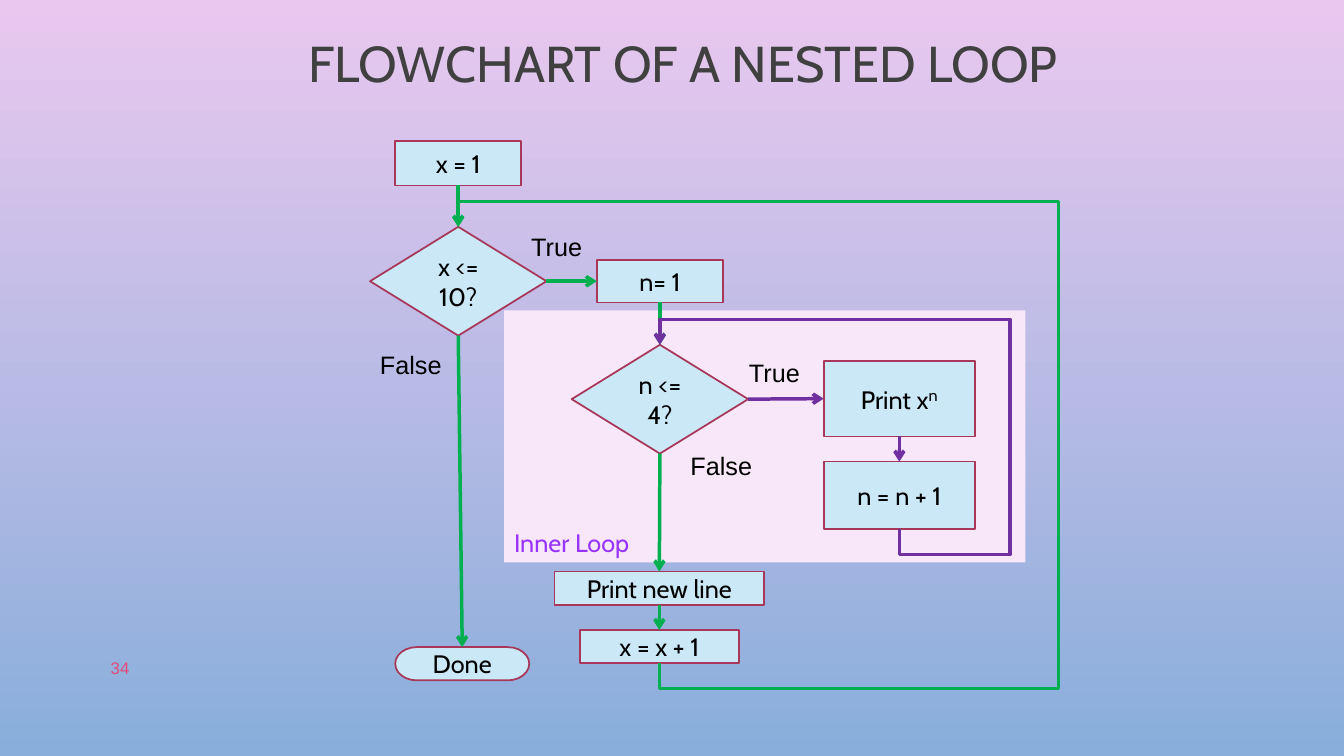
from dataclasses import dataclass

from lxml import etree
from pptx import Presentation
from pptx.dml.color import RGBColor
from pptx.enum.shapes import MSO_CONNECTOR, MSO_SHAPE
from pptx.enum.text import MSO_ANCHOR, PP_ALIGN
from pptx.oxml.ns import qn
from pptx.util import Inches, Pt

STEP = MSO_SHAPE.FLOWCHART_PROCESS
TEST = MSO_SHAPE.FLOWCHART_DECISION
STOP = MSO_SHAPE.FLOWCHART_TERMINATOR
PANEL = MSO_SHAPE.RECTANGLE
STRAIGHT, ELBOW = MSO_CONNECTOR.STRAIGHT, MSO_CONNECTOR.ELBOW
LEFT, CENTER = PP_ALIGN.LEFT, PP_ALIGN.CENTER
TOP, MIDDLE, BOTTOM = MSO_ANCHOR.TOP, MSO_ANCHOR.MIDDLE, MSO_ANCHOR.BOTTOM
NORTH, WEST, SOUTH, EAST = range(4)  # connection sites


@dataclass(frozen=True)
class Theme:
    sky: str = "E9C8EF"
    ground: str = "89AEDB"
    panel: str = "F8E7F9"
    box: str = "CAE8F6"
    edge: str = "A8375A"
    outer: str = "00B050"
    inner: str = "7030A0"
    caption: str = "9933FF"
    title: str = "404040"
    text: str = "000000"
    number: str = "E34B7A"
    head: str = "Cabin"
    plain: str = "Arial"
    big: int = 36
    power: int = 20
    body: int = 18
    small: int = 12
    border: float = 1.25
    arrow: float = 2.5


THEME = Theme()


def rgb(code):
    return RGBColor.from_string(code)


def add_run(para, text, size=THEME.body, color=THEME.text, font=THEME.head):
    run = para.add_run()
    run.text = text
    run.font.size = Pt(size)
    run.font.name = font
    run.font.color.rgb = rgb(color)
    return run


def paint_back(slide):
    fill = slide.background.fill
    fill.gradient()
    fill.gradient_angle = 270
    for stop, color in zip(fill.gradient_stops, (THEME.sky, THEME.ground)):
        stop.color.rgb = rgb(color)


def add_text(slide, text, area, anchor=TOP, align=LEFT, wrap=True, **style):
    frame = slide.shapes.add_textbox(*map(Inches, area)).text_frame
    frame.word_wrap = wrap
    frame.vertical_anchor = anchor
    para = frame.paragraphs[0]
    para.alignment = align
    add_run(para, text, **style)
    return para


def add_label(slide, text, left, top):
    width = 0.71 if text == "True" else 0.82
    add_text(slide, text, (left, top, width, 0.4), wrap=False, font=THEME.plain)


def add_panel(slide, text, area):
    panel = slide.shapes.add_shape(PANEL, *map(Inches, area))
    panel.shadow.inherit = False
    panel.fill.solid()
    panel.fill.fore_color.rgb = rgb(THEME.panel)
    panel.line.fill.background()
    panel.text_frame.vertical_anchor = BOTTOM
    para = panel.text_frame.paragraphs[0]
    para.alignment = LEFT
    add_run(para, text, color=THEME.caption)


def add_node(slide, kind, text, area, power=""):
    """Add a flowchart box; power is set as a superscript after the text."""
    node = slide.shapes.add_shape(kind, *map(Inches, area))
    node.shadow.inherit = False
    node.fill.solid()
    node.fill.fore_color.rgb = rgb(THEME.box)
    node.line.color.rgb = rgb(THEME.edge)
    node.line.width = Pt(THEME.border)
    frame = node.text_frame
    frame.word_wrap = True
    frame.vertical_anchor = MIDDLE
    para = frame.paragraphs[0]
    para.alignment = CENTER
    add_run(para, text)
    if power:
        run = add_run(para, power, size=THEME.power)
        run.font._element.set("baseline", "30000")
    return node


def style_arrow(arrow, color):
    arrow.line.color.rgb = rgb(color)
    arrow.line.width = Pt(THEME.arrow)
    props = arrow.element.spPr
    etree.SubElement(props.find(qn("a:ln")), qn("a:tailEnd"), type="arrow")
    etree.SubElement(props, qn("a:effectLst"))


def link(slide, start, out, end, into, color):
    arrow = slide.shapes.add_connector(STRAIGHT, 0, 0, 0, 0)
    arrow.begin_connect(start, out)
    arrow.end_connect(end, into)
    style_arrow(arrow, color)


def loop_back(slide, start, end, low, right, high, color):
    """Run from the foot of start round the right side to the top of end."""
    x1, y1 = start.left + start.width // 2, start.top + start.height
    x2, y2 = end.left + end.width // 2, end.top
    mid_x, mid_y = (x1 + x2) // 2, (y1 + y2) // 2
    half_w, half_h = (y1 - y2) // 2, (x1 - x2) // 2
    # A quarter turn swaps width and height about the shared centre.
    arrow = slide.shapes.add_connector(
        ELBOW, mid_x + half_w, mid_y - half_h, mid_x - half_w, mid_y + half_h)
    props = arrow.element.spPr
    props.find(qn("a:xfrm")).set("rot", "5400000")
    shape = props.find(qn("a:prstGeom"))
    shape.set("prst", "bentConnector5")
    guides = shape.find(qn("a:avLst"))
    bends = ((Inches(low) - y1) / (y2 - y1),
             (Inches(right) - x1) / (x2 - x1),
             (Inches(high) - y1) / (y2 - y1))
    for num, bend in enumerate(bends, 1):
        etree.SubElement(guides, qn("a:gd"), name=f"adj{num}",
                         fmla=f"val {round(bend * 100000)}")
    style_arrow(arrow, color)


def main():
    deck = Presentation()
    deck.slide_width, deck.slide_height = Inches(13.33), Inches(7.5)
    slide = deck.slides.add_slide(deck.slide_layouts[6])
    paint_back(slide)
    add_panel(slide, "Inner Loop", (5, 3.08, 5.17, 2.5))
    title = add_text(slide, "FLOWCHART OF A NESTED LOOP", (2.65, 0.26, 8.25, 0.79),
                     MIDDLE, CENTER, size=THEME.big, color=THEME.title)
    title.line_spacing = 0.9

    set_x = add_node(slide, STEP, "x = 1", (3.92, 1.4, 1.25, 0.44))
    test_x = add_node(slide, TEST, "x <= 10?", (3.67, 2.25, 1.75, 1.08))
    set_n = add_node(slide, STEP, "n= 1", (5.92, 2.58, 1.25, 0.42))
    test_n = add_node(slide, TEST, "n <= 4?", (5.67, 3.42, 1.75, 1.08))
    show = add_node(slide, STEP, "Print x", (8.17, 3.58, 1.5, 0.75), power="n")
    add_n = add_node(slide, STEP, "n = n + 1", (8.17, 4.58, 1.5, 0.67))
    feed = add_node(slide, STEP, "Print new line", (5.5, 5.67, 2.08, 0.33))
    add_x = add_node(slide, STEP, "x = x + 1", (5.75, 6.25, 1.58, 0.33))
    done = add_node(slide, STOP, "Done", (3.92, 6.42, 1.33, 0.33))

    for start, out, end, into, color in (
        (set_x, SOUTH, test_x, NORTH, THEME.outer),
        (test_x, EAST, set_n, WEST, THEME.outer),
        (test_x, SOUTH, done, NORTH, THEME.outer),
        (set_n, SOUTH, test_n, NORTH, THEME.outer),
        (test_n, SOUTH, feed, NORTH, THEME.outer),
        (feed, SOUTH, add_x, NORTH, THEME.outer),
        (test_n, EAST, show, WEST, THEME.inner),
        (show, SOUTH, add_n, NORTH, THEME.inner),
    ):
        link(slide, start, out, end, into, color)
    loop_back(slide, add_n, test_n, 5.5, 10.02, 3.17, THEME.inner)
    loop_back(slide, add_x, test_x, 6.83, 10.5, 2, THEME.outer)

    for text, left, top in (("True", 5.17, 2.25), ("False", 3.67, 3.42),
                            ("True", 7.33, 3.5), ("False", 6.75, 4.42)):
        add_label(slide, text, left, top)
    add_text(slide, "34", (1, 6.43, 7.3, 0.4), MIDDLE, size=THEME.small,
             color=THEME.number, font=THEME.plain)
    deck.save("out.pptx")


if __name__ == "__main__":
    main()
